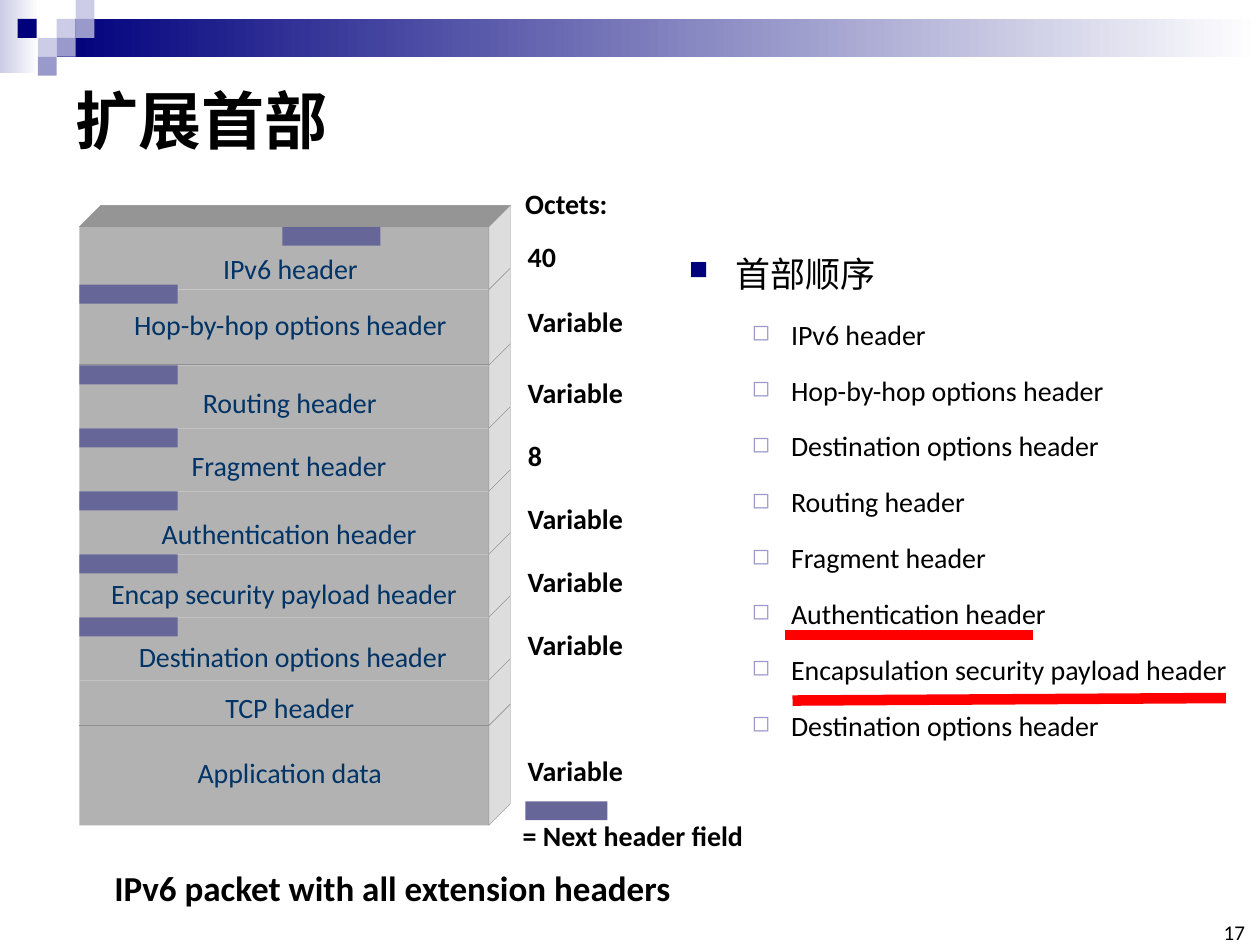
"""Build a slide on IPv6 extension headers and their order."""
from lxml import etree
from pptx import Presentation
from pptx.dml.color import RGBColor
from pptx.enum.shapes import MSO_CONNECTOR, MSO_SHAPE
from pptx.enum.text import MSO_ANCHOR, PP_ALIGN
from pptx.oxml.ns import qn
from pptx.util import Inches, Pt

RECT, LINE = MSO_SHAPE.RECTANGLE, MSO_CONNECTOR.STRAIGHT
LEFT, MID, RIGHT = PP_ALIGN.LEFT, PP_ALIGN.CENTER, PP_ALIGN.RIGHT
TOP, CENTER, BASE = MSO_ANCHOR.TOP, MSO_ANCHOR.MIDDLE, MSO_ANCHOR.BOTTOM
THEME = {
    "font": "Calibri", "title": 36, "head": 20, "text": 16, "num": 12,
    "black": "000000", "white": "FFFFFF", "navy": "00007D", "pale": "CCCCE6",
    "lilac": "9999CC", "field": "666699", "label": "003366", "red": "FF0000",
    "front": "B2B2B2", "side": "DDDDDD", "roof": "959595", "edge": "909090",
}

prs = Presentation()
prs.slide_width, prs.slide_height = Inches(10), Inches(7.5)
slide = prs.slides.add_slide(prs.slide_layouts[6])
shapes = slide.shapes


def rgb(name):
    return RGBColor.from_string(THEME[name])


def write(text, x, y, w, h, size="text", color="black", bold=False,
          align=LEFT, anchor=TOP, wrap=False, inset=None, bullets=None):
    box = shapes.add_textbox(Inches(x), Inches(y), Inches(w), Inches(h))
    frame = box.text_frame
    frame.word_wrap, frame.vertical_anchor = wrap, anchor
    if inset is not None:
        frame.margin_left = frame.margin_right = Inches(inset)
        frame.margin_top = frame.margin_bottom = Inches(inset)
    for i, line in enumerate(text.split("\n")):
        para = frame.paragraphs[0] if i == 0 else frame.add_paragraph()
        para.alignment = align
        run = para.add_run()
        run.text = line
        font = run.font
        font.name, font.bold = THEME["font"], bold
        font.size, font.color.rgb = Pt(THEME[size]), rgb(color)
        if bullets:
            level = min(i, 1)
            mark, tint, scale, margin, hang, points = bullets[level]
            font.size = Pt(points)
            para.level, para.line_spacing = level, 1.5
            para.space_before = Pt(points * 0.2)
            props = para._p.get_or_add_pPr()
            props.set("marL", str(Inches(margin)))
            props.set("indent", str(-Inches(hang)))
            shade = etree.SubElement(props, qn("a:buClr"))
            etree.SubElement(shade, qn("a:srgbClr"), val=THEME[tint])
            etree.SubElement(props, qn("a:buSzPct"), val=str(scale * 1000))
            etree.SubElement(props, qn("a:buChar"), char=mark)


bars = [
    (0, 0, 0.31, 0.58, "pale", True), (0.45, 0.15, 9.55, 0.3, "navy", True),
    (0.45, 0.15, 0.15, 0.15, "pale", False), (0.6, 0, 0.15, 0.15, "pale", False),
    (0.6, 0.15, 0.15, 0.15, "lilac", False), (0.3, 0.3, 0.15, 0.15, "pale", False),
    (0.14, 0.15, 0.15, 0.15, "navy", False), (0.45, 0.3, 0.15, 0.15, "lilac", False),
    (0.3, 0.45, 0.15, 0.15, "lilac", False),
]
rows = [1.8, 2.3, 2.9, 3.4, 3.9, 4.4, 4.9, 5.4, 5.76, 6.55]
start, width, depth = 0.63, 3.25, 0.17
end = start + width
for y, low in zip(rows, rows[1:]):
    bars.append((start, y, width, low - y, "front", False))
bars.append((2.24, 1.8, 0.78, 0.15, "field", False))
for y in [2.26] + rows[2:7]:
    bars.append((start, y, 0.78, 0.15, "field", False))
bars.append((4.17, 6.36, 0.65, 0.15, "field", False))
for x, y, w, h, color, fade in bars:
    bar = shapes.add_shape(RECT, Inches(x), Inches(y), Inches(w), Inches(h))
    bar.shadow.inherit = False
    bar.line.fill.background()
    if fade:
        bar.fill.gradient()
        bar.fill.gradient_angle = 0
        for stop, tone in zip(bar.fill.gradient_stops, (color, "white")):
            stop.color.rgb = rgb(tone)
    else:
        bar.fill.solid()
        bar.fill.fore_color.rgb = rgb(color)

faces = [("roof", [(start, 1.8), (start + depth, 1.8 - depth),
                   (end + depth, 1.8 - depth), (end, 1.8)])]
for y, low in zip(rows, rows[1:]):
    faces.append(("side", [(end, y), (end + depth, y - depth),
                           (end + depth, low - depth), (end, low)]))
for color, points in faces:
    spots = [(Inches(x), Inches(y)) for x, y in points]
    path = shapes.build_freeform(*spots[0], scale=1.0)
    path.add_line_segments(spots[1:], close=True)
    face = path.convert_to_shape()
    face.shadow.inherit = False
    face.fill.solid()
    face.fill.fore_color.rgb = rgb(color)
    face.line.color.rgb, face.line.width = rgb("edge"), Pt(0.25)

lines = [(start, y, end, y, "edge", 0.5) for y in (2.89, 5.76)]
lines += [(1.04, 2.45, 1.04, 2.45, "black", 1),
          (6.23, 5.04, 8.2, 5.04, "red", 6), (6.29, 5.56, 9.73, 5.54, "red", 6)]

write("扩展首部", 0.5, 0.5, 9, 0.89, size="title", bold=True, anchor=CENTER, wrap=True)
write("17", 9.5, 7.33, 0.38, 0.17, size="num", align=RIGHT, anchor=BASE,
      wrap=True, inset=0)
orders = ["首部顺序", "IPv6 header", "Hop-by-hop options header",
          "Destination options header", "Routing header", "Fragment header",
          "Authentication header", "Encapsulation security payload header",
          "Destination options header"]
write("\n".join(orders), 5.37, 1.79, 4.57, 4.43, wrap=True, bullets=[
    ("■", "navy", 75, 0.37, 0.37, THEME["head"]),
    ("◻", "lilac", 80, 0.81, 0.31, THEME["text"])])
write("IPv6 packet with all extension headers", 0.81, 6.83, 4.74, 0.43,
      size="head", bold=True)

notes = [("Octets:", 4.07, 1.43, 0.88), ("40", 4.09, 1.85, 0.43),
         ("Variable", 4.09, 2.37, 0.97), ("8", 4.09, 3.43, 0.32),
         ("= Next header field", 4.05, 6.45, 2.02)]
notes += [("Variable", 4.09, y, 0.97) for y in (2.93, 3.93, 4.43, 4.93, 5.93)]
for text, x, y, w in notes:
    write(text, x, y, w, 0.37, bold=True)

labels = [("IPv6 header", 1.66, 1.95, 1.29),
          ("Hop-by-hop options header", 0.38, 2.39, 3.85),
          ("Routing header", 1.5, 3.01, 1.6), ("Fragment header", 1.41, 3.51, 1.77),
          ("Authentication header", 1.17, 4.05, 2.25),
          ("Encap security payload header", 0.17, 4.53, 4.17),
          ("Destination options header", 0.16, 5.03, 4.33),
          ("TCP header", 1.68, 5.43, 1.24), ("Application data", 1.46, 5.95, 1.68)]
for text, x, y, w in labels:
    write(text, x, y, w, 0.37, color="label", align=MID, wrap=w > 3)

for x, y, right, low, color, weight in lines:
    line = shapes.add_connector(LINE, Inches(x), Inches(y), Inches(right), Inches(low))
    line.line.color.rgb, line.line.width = rgb(color), Pt(weight)
    etree.SubElement(line._element.spPr, qn("a:effectLst"))

prs.save("out.pptx")
